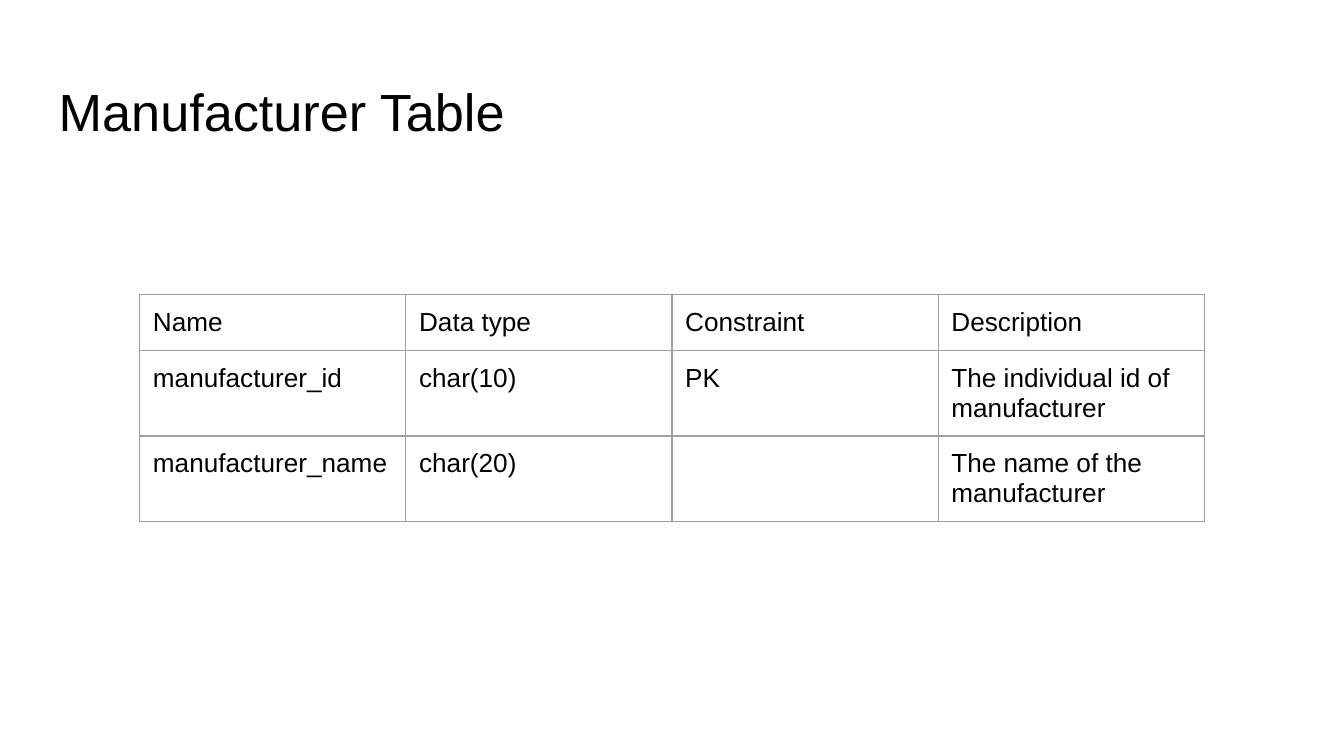
from typing import NamedTuple

from lxml.etree import SubElement
from pptx import Presentation
from pptx.dml.color import RGBColor
from pptx.enum.text import MSO_ANCHOR, MSO_AUTO_SIZE, PP_ALIGN
from pptx.oxml.ns import qn
from pptx.slide import Slide
from pptx.table import _Cell
from pptx.util import Cm, Pt

COLORS = {"text": "000000", "border": "9E9E9E"}
FONT = "Arial"
INSET = Cm(0.25)
COLUMN_WIDTH = Cm(5.03)
ROW_HEIGHT = Cm(1.07)


class Field(NamedTuple):
    name: str
    data_type: str
    constraint: str
    description: str


FIELDS = [
    Field("Name", "Data type", "Constraint", "Description"),
    Field("manufacturer_id", "char(10)", "PK", "The individual id of manufacturer"),
    Field("manufacturer_name", "char(20)", "", "The name of the manufacturer"),
]


def format_text(text_frame, size: int) -> None:
    for para in text_frame.paragraphs:
        para.alignment = PP_ALIGN.LEFT
        for span in para.runs:
            span.font.name = FONT
            span.font.size = Pt(size)
            span.font.color.rgb = RGBColor.from_string(COLORS["text"])


def add_borders(cell: _Cell) -> None:
    properties = cell._tc.get_or_add_tcPr()
    for side in ("a:lnL", "a:lnR", "a:lnT", "a:lnB"):
        line = SubElement(properties, qn(side), w=str(Pt(0.75)))
        fill = SubElement(line, qn("a:solidFill"))
        SubElement(fill, qn("a:srgbClr"), val=COLORS["border"])


def fill_cell(cell: _Cell, text: str) -> None:
    cell.margin_left = cell.margin_right = INSET
    cell.margin_top = cell.margin_bottom = INSET
    add_borders(cell)
    cell.fill.background()
    if text:
        cell.text_frame.text = text
        format_text(cell.text_frame, 14)


def add_title(slide: Slide, text: str) -> None:
    title = slide.shapes.title
    title.left, title.top = Cm(0.86), Cm(1.24)
    title.width, title.height = Cm(23.67), Cm(1.6)
    frame = title.text_frame
    frame.text = text
    frame.word_wrap = True
    frame.auto_size = MSO_AUTO_SIZE.NONE
    frame.vertical_anchor = MSO_ANCHOR.TOP
    frame.margin_left = frame.margin_right = INSET
    frame.margin_top = frame.margin_bottom = INSET
    format_text(frame, 28)


def add_field_table(slide: Slide, fields: list[Field]) -> None:
    column_count = len(Field._fields)
    table = slide.shapes.add_table(
        len(fields), column_count, Cm(2.64), Cm(5.56),
        COLUMN_WIDTH * column_count, ROW_HEIGHT * len(fields),
    ).table
    table.first_row = table.horz_banding = False
    for row, field in zip(table.rows, fields):
        for cell, text in zip(row.cells, field):
            fill_cell(cell, text)


def main() -> None:
    deck = Presentation()
    deck.slide_width, deck.slide_height = Cm(25.4), Cm(14.29)
    slide = deck.slides.add_slide(deck.slide_layouts.get_by_name("Title Only"))
    add_title(slide, "Manufacturer Table")
    add_field_table(slide, FIELDS)
    deck.save("out.pptx")


if __name__ == "__main__":
    main()
